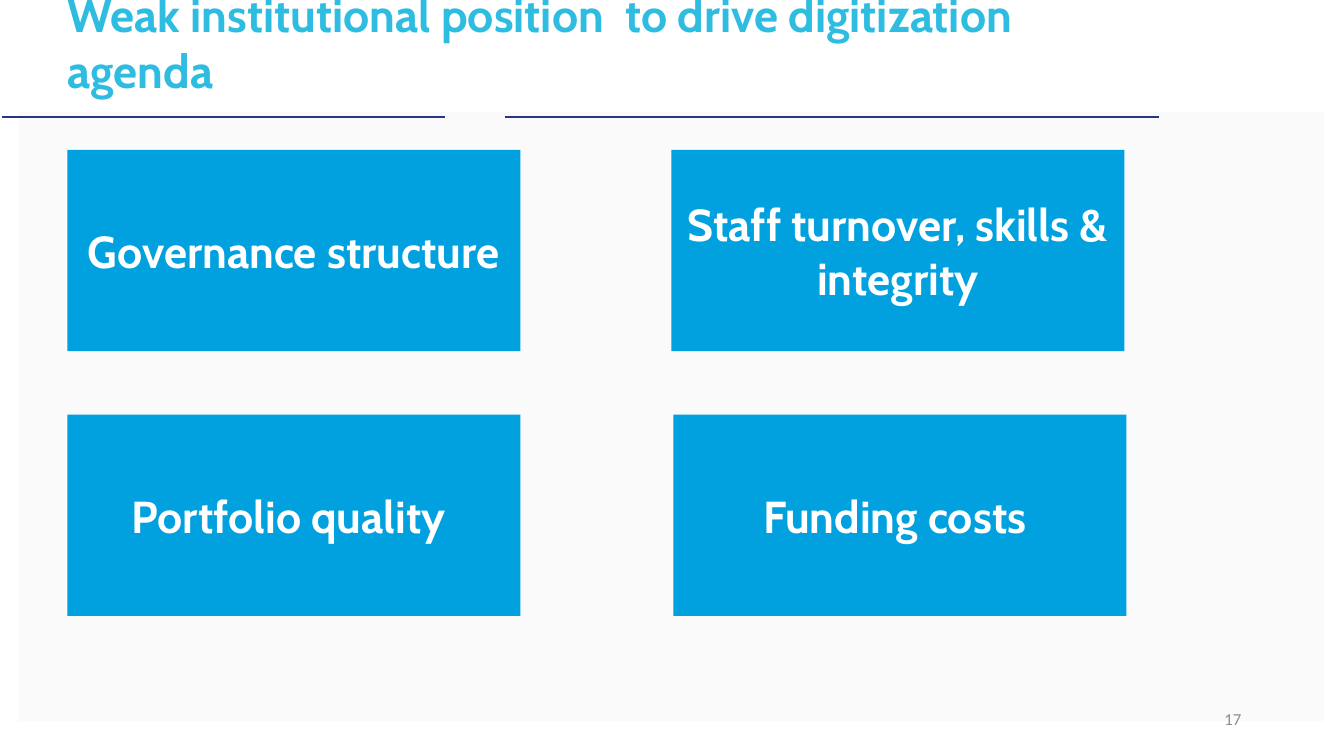
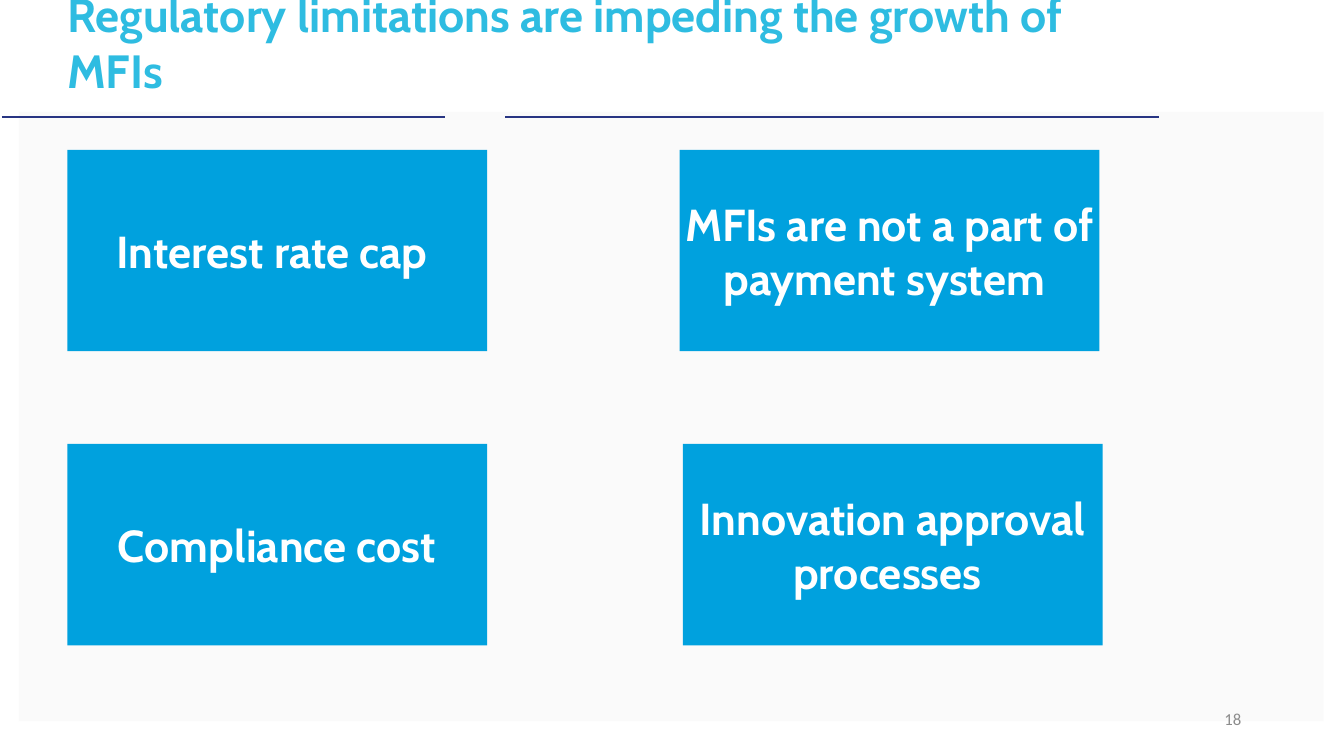
from lxml import etree
from pptx import Presentation
from pptx.dml.color import RGBColor
from pptx.enum.shapes import MSO_CONNECTOR, MSO_SHAPE
from pptx.enum.text import MSO_ANCHOR, MSO_AUTO_SIZE, PP_ALIGN
from pptx.oxml.ns import qn
from pptx.util import Cm, Pt

RECT, LINE = MSO_SHAPE.RECTANGLE, MSO_CONNECTOR.STRAIGHT
MIDDLE, FIXED = MSO_ANCHOR.MIDDLE, MSO_AUTO_SIZE.NONE
LEFT, CENTER, RIGHT = PP_ALIGN.LEFT, PP_ALIGN.CENTER, PP_ALIGN.RIGHT

COLORS = {"band": "F6F6F6", "rule": "283583", "title": "2EBCE1",
          "box": "00A1DE", "text": "FFFFFF", "page": "8C8C8C"}
FONTS = {
    "title": {"name": "Cabin", "size": Pt(33.3), "bold": True},
    "text": {"name": "Cabin", "size": Pt(32), "bold": True},
    "page": {"name": "Calibri", "size": Pt(12), "bold": False},
}
ALIGN = {"title": LEFT, "text": CENTER, "page": RIGHT}
INSET = {"title": (0, 0), "text": (0.1, 0.1), "page": (0.25, 0.13)}
RULES = [(0.05, 11.23), (12.75, 29.24)]
MARGIN, TOP, HIGH = 1.7, 3.78, 5.08

# Box texts run row by row; nudge shifts the last box to the right
SLIDES = [
    {"title": "Weak institutional position  to drive digitization agenda",
     "page": 17, "wide": 11.43, "right": 16.94, "low": 10.46, "nudge": 0.05,
     "texts": ["Governance structure", "Staff turnover, skills & integrity",
               "Portfolio quality ", "Funding costs "]},
    {"title": "Regulatory limitations are impeding the growth of MFIs",
     "page": 18, "wide": 10.59, "right": 17.15, "low": 11.2, "nudge": 0.08,
     "texts": ["Interest rate cap ", "MFIs are not a part of payment system ",
               "Compliance cost", "Innovation approval processes "]},
]


def put(item, values):
    for name, value in values.items():
        setattr(item, name, value)


def color(name):
    return RGBColor.from_string(COLORS[name])


class Deck:
    def __init__(self):
        self.prs = Presentation()
        put(self.prs, {"slide_width": Cm(33.91), "slide_height": Cm(19.02)})
        self.slide = None

    def start(self):
        self.slide = self.prs.slides.add_slide(self.prs.slide_layouts[5])
        self.band()
        for left, right in RULES:
            self.rule(left, right)

    def label(self, shape, text, style):
        frame = shape.text_frame
        side, edge = map(Cm, INSET[style])
        put(frame, {"text": text, "word_wrap": True, "auto_size": FIXED,
                    "vertical_anchor": MIDDLE,
                    "margin_left": side, "margin_right": side,
                    "margin_top": edge, "margin_bottom": edge})
        para = frame.paragraphs[0]
        para.alignment = ALIGN[style]
        font = para.runs[0].font
        put(font, FONTS[style])
        font.color.rgb = color(style)

    def rect(self, fill, *place):
        shape = self.slide.shapes.add_shape(RECT, *map(Cm, place))
        shape.shadow.inherit = False
        shape.fill.solid()
        shape.fill.fore_color.rgb = color(fill)
        shape.line.fill.background()
        return shape

    def band(self):
        shape = self.rect("band", 0.48, 2.82, 32.92, 15.37)
        tint = shape._element.spPr.find(".//" + qn("a:srgbClr"))
        etree.SubElement(tint, qn("a:alpha"), val="50000")

    def rule(self, left, right):
        line = self.slide.shapes.add_connector(
            LINE, Cm(left), Cm(2.95), Cm(right), Cm(2.95))
        line.line.color.rgb = color("rule")
        line.line.width = Pt(1.5)
        etree.SubElement(line._element.spPr, qn("a:effectLst"))

    def title(self, text):
        shape = self.slide.shapes.title
        put(shape, {"left": Cm(MARGIN), "top": Cm(0),
                    "width": Cm(27.51), "height": Cm(2.13)})
        self.label(shape, text, "title")

    def page(self, number):
        place = map(Cm, (23.95, 17.63, 7.62, 1.02))
        self.label(self.slide.shapes.add_textbox(*place), str(number), "page")

    def box(self, text, left, top, wide):
        self.label(self.rect("box", left, top, wide, HIGH), text, "text")


def main():
    deck = Deck()
    for data in SLIDES:
        deck.start()
        deck.title(data["title"])
        deck.page(data["page"])
        # Two by two grid of boxes
        for i, text in enumerate(data["texts"]):
            row, col = divmod(i, 2)
            left = (MARGIN, data["right"])[col] + row * col * data["nudge"]
            deck.box(text, left, (TOP, data["low"])[row], data["wide"])
    deck.prs.save("out.pptx")


if __name__ == "__main__":
    main()
